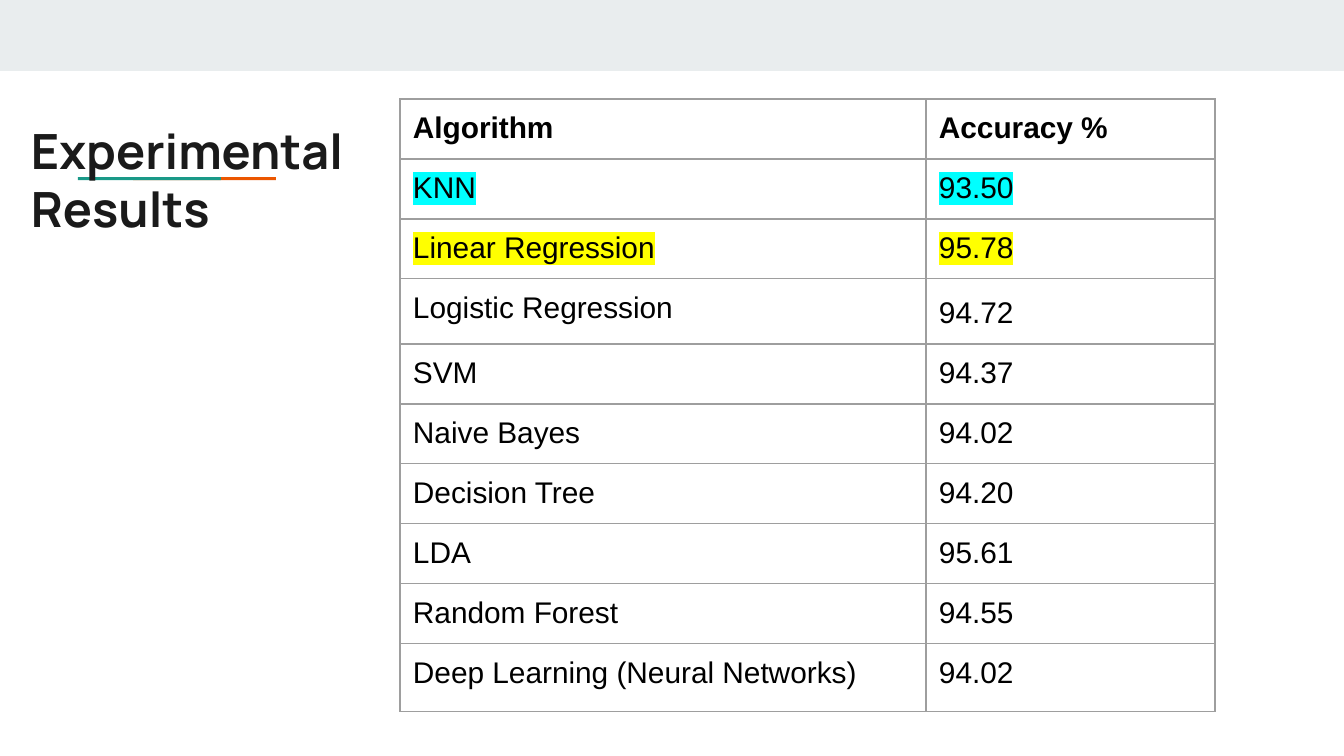
from lxml.etree import SubElement
from pptx import Presentation
from pptx.dml.color import RGBColor
from pptx.enum.shapes import MSO_SHAPE
from pptx.enum.text import MSO_ANCHOR
from pptx.oxml import parse_xml
from pptx.oxml.ns import nsdecls, qn
from pptx.util import Pt

PX = 914400 / 134.4
COLORS = {
    "band": "E9EDEE", "teal": "1A9988", "orange": "EB5600", "title": "1A1A1A",
    "text": "000000", "border": "9E9E9E", "cyan": "00FFFF", "yellow": "FFFF00",
    "white": "FFFFFF",
}
RESULTS = [
    ("Algorithm", "Accuracy %"),
    ("KNN", "93.50"),
    ("Linear Regression", "95.78"),
    ("Logistic Regression", "94.72"),
    ("SVM", "94.37"),
    ("Naive Bayes", "94.02"),
    ("Decision Tree", "94.20"),
    ("LDA", "95.61"),
    ("Random Forest", "94.55"),
    ("Deep Learning (Neural Networks)", "94.02"),
]
HIGHLIGHTS = {(1, 0): "cyan", (1, 1): "cyan", (2, 0): "yellow", (2, 1): "yellow",
              (3, 1): "white"}
COL_WIDTHS = [526, 289]
ROW_HEIGHTS = [60] * 3 + [65] + [60] * 5 + [68]
MARGIN = 13


def px(n):
    return round(n * PX)


def rgb(name):
    return RGBColor.from_string(COLORS[name])


def set_margins(obj, bottom=MARGIN):
    obj.margin_left = obj.margin_right = obj.margin_top = px(MARGIN)
    obj.margin_bottom = px(bottom)


def style_run(r, font, size, color, bold=False):
    r.font.name = font
    r.font.size = Pt(size)
    r.font.bold = bold
    r.font.color.rgb = rgb(color)


def highlight(r, color):
    fill = r.font._element.find(qn("a:solidFill"))
    fill.addnext(parse_xml(
        f'<a:highlight {nsdecls("a")}><a:srgbClr val="{COLORS[color]}"/></a:highlight>'))


def add_bar(s, x, y, w, h, color):
    sp = s.shapes.add_shape(MSO_SHAPE.RECTANGLE, px(x), px(y), px(w), px(h))
    sp.shadow.inherit = False
    sp.fill.solid()
    sp.fill.fore_color.rgb = rgb(color)
    sp.line.fill.background()
    return sp


def add_title(s, text, x, y, w, h):
    tf = s.shapes.add_textbox(px(x), px(y), px(w), px(h)).text_frame
    tf.word_wrap = True
    tf.vertical_anchor = MSO_ANCHOR.TOP
    set_margins(tf)
    tf.text = text
    for p in tf.paragraphs:
        style_run(p.runs[0], "Manrope", 26, "title", True)


def add_borders(cell):
    tc_pr = cell._tc.get_or_add_tcPr()
    for i, side in enumerate(("lnL", "lnR", "lnT", "lnB")):
        ln = parse_xml(f'<a:{side} {nsdecls("a")} w="{Pt(0.75)}"/>')
        fill = SubElement(ln, qn("a:solidFill"))
        SubElement(fill, qn("a:srgbClr"), val=COLORS["border"])
        tc_pr.insert(i, ln)


def fill_cell(cell, text, bold, mark):
    cell.fill.background()
    set_margins(cell, bottom=11)
    add_borders(cell)
    cell.text_frame.text = text
    r = cell.text_frame.paragraphs[0].runs[0]
    style_run(r, "Arial", 16, "text", bold)
    if mark:
        highlight(r, mark)


def add_results_table(s, x, y):
    table = s.shapes.add_table(
        len(RESULTS), len(COL_WIDTHS), px(x), px(y),
        px(sum(COL_WIDTHS)), px(sum(ROW_HEIGHTS))).table
    table.horz_banding = False
    for col, w in zip(table.columns, COL_WIDTHS):
        col.width = px(w)
    for i, (row, h) in enumerate(zip(table.rows, ROW_HEIGHTS)):
        row.height = px(h)
        for j, text in enumerate(RESULTS[i]):
            fill_cell(row.cells[j], text, i == 0, HIGHLIGHTS.get((i, j)))
    table.cell(3, 1).text_frame.paragraphs[0].line_spacing = 1.15


def main():
    """Build the experimental results slide."""
    prs = Presentation()
    prs.slide_width, prs.slide_height = px(1344), px(756)
    s = prs.slides.add_slide(prs.slide_layouts[6])
    add_bar(s, 0, 0, 1344, 71, "band")
    for x, color in ((203, "orange"), (148, "teal")):
        add_bar(s, x, 107, 3, 143, color).rotation = 270
    add_title(s, "Experimental\nResults", 18, 108, 372, 85)
    add_results_table(s, 400, 99)
    prs.save("out.pptx")


if __name__ == "__main__":
    main()
